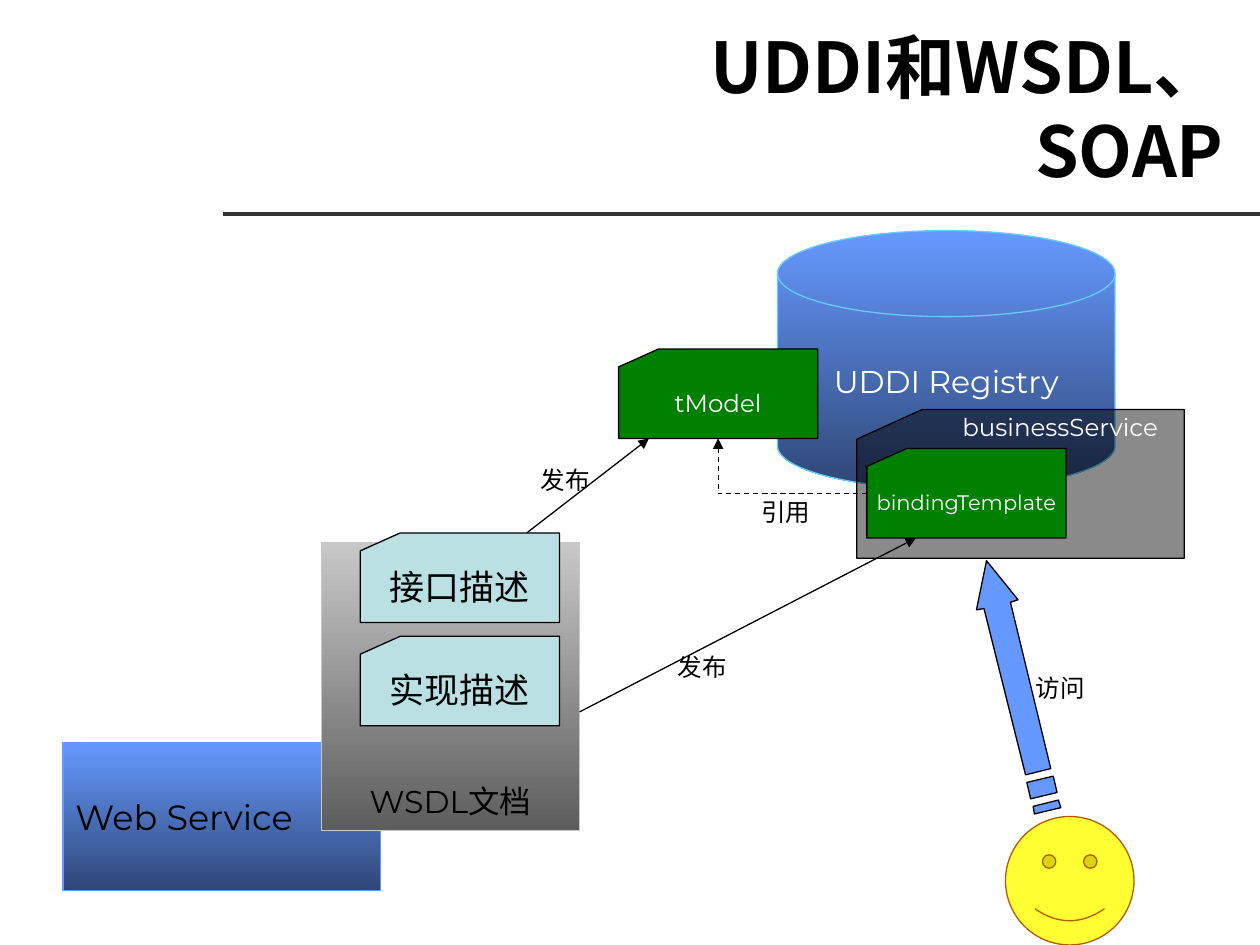
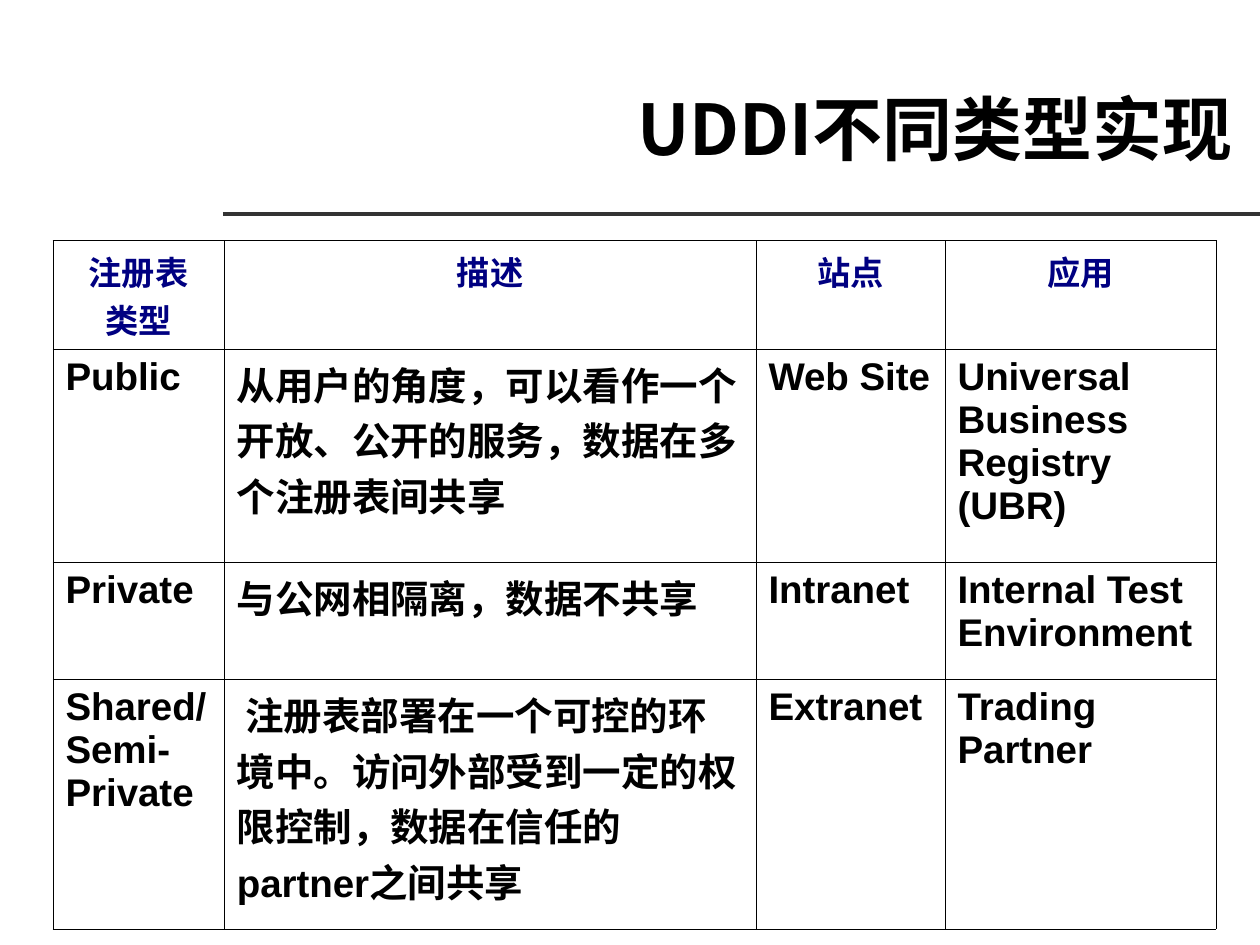
from lxml.etree import SubElement
from pptx import Presentation
from pptx.dml.color import RGBColor
from pptx.enum.dml import MSO_LINE
from pptx.enum.shapes import MSO_CONNECTOR as Connector, MSO_SHAPE as Shape
from pptx.enum.text import MSO_ANCHOR as Anchor, MSO_AUTO_SIZE, PP_ALIGN as Align
from pptx.oxml.ns import qn
from pptx.util import Inches, Pt

BLACK = RGBColor(0x00, 0x00, 0x00)
WHITE = RGBColor(0xFF, 0xFF, 0xFF)
RULE_GRAY = RGBColor(0x33, 0x33, 0x33)
BLUE = RGBColor(0x66, 0x99, 0xFF)
DEEP_BLUE = RGBColor(0x2F, 0x47, 0x76)
SKY = RGBColor(0x66, 0xCC, 0xFF)
SILVER = RGBColor(0xC8, 0xC8, 0xC8)
DARK_GRAY = RGBColor(0x5D, 0x5D, 0x5D)
PALE_TEAL = RGBColor(0xBB, 0xE0, 0xE3)
GREEN = RGBColor(0x00, 0x80, 0x00)
YELLOW = RGBColor(0xFF, 0xFF, 0x00)
BROWN = RGBColor(0xB4, 0x5A, 0x00)
NAVY = RGBColor(0x00, 0x00, 0x81)

CHINESE_FONT = "Noto Sans CJK SC"
DIAGRAM_FONT = "Montserrat"
TABLE_FONT = "Arial"

presentation = Presentation()
presentation.slide_width = Inches(10)
presentation.slide_height = Inches(7.5)
# Every position is counted on a grid of 100 columns and 75 rows.
COLUMN = presentation.slide_width / 100
ROW = presentation.slide_height / 75
title_only = presentation.slide_layouts[5]


def grid(*lengths):
    """Turn alternating column and row counts into slide lengths."""
    return [round(length * (ROW if index % 2 else COLUMN))
            for index, length in enumerate(lengths)]


def write_text(frame, text, size, font=DIAGRAM_FONT, color=BLACK, bold=False,
               align=Align.CENTER, anchor=Anchor.MIDDLE, wrap=False,
               side_margin=7.2, bottom_margin=3.6):
    """Write one paragraph per line of text; sizes and margins are in points."""
    frame.word_wrap = wrap
    frame.vertical_anchor = anchor
    frame.margin_left = frame.margin_right = Pt(side_margin)
    frame.margin_bottom = Pt(bottom_margin)
    for index, line in enumerate(text.split("\n")):
        paragraph = frame.add_paragraph() if index else frame.paragraphs[0]
        paragraph.alignment = align
        run = paragraph.add_run()
        run.text = line
        run.font.name = font
        run.font.size = Pt(size)
        run.font.bold = bold
        run.font.color.rgb = color
        SubElement(run.font._element, qn("a:ea"), typeface=CHINESE_FONT)


# Titles
slides = []
for text, box in [("UDDI和WSDL、SOAP", (43.7, 5, 54.4, 7)),
                  ("UDDI不同类型实现", (20.1, 6.8, 78.7, 6.7))]:
    slide = presentation.slides.add_slide(title_only)
    title = slide.shapes.title
    title.left, title.top, title.width, title.height = grid(*box)
    write_text(title.text_frame, text, 40, font=CHINESE_FONT, bold=True,
               align=Align.RIGHT, wrap=True)
    title.text_frame.auto_size = MSO_AUTO_SIZE.NONE
    slides.append(slide)
diagram_slide, table_slide = slides

# The rule under the title belongs to the layout
rule = diagram_slide.shapes.add_connector(Connector.STRAIGHT, *grid(17.7, 17, 100, 17))
rule.line.color.rgb = RULE_GRAY
rule.line.width = Pt(2.25)
SubElement(rule._element.spPr, qn("a:effectLst"))
title_only.shapes.element.append(rule._element)

# Diagram blocks: preset, box, fill colours, opacity in percent, line, text, text format
shapes = diagram_slide.shapes
CARD = Shape.FLOWCHART_CARD
CARD_SIZE = (15.8, 7.1)
blocks = [
    (Shape.RECTANGLE, (5, 58.9, 25.2, 11.8), (BLUE, DEEP_BLUE), 100, BLUE,
     "Web Service", dict(size=20, align=Align.LEFT)),
    (Shape.RECTANGLE, (25.5, 43.1, 20.5, 22.8), (SILVER, DARK_GRAY), 100, SILVER,
     "WSDL文档", dict(size=18, anchor=Anchor.BOTTOM, bottom_margin=6)),
    (CARD, (28.6, 42.3, *CARD_SIZE), (PALE_TEAL,), 100, BLACK, "接口描述", dict(size=20)),
    (CARD, (28.6, 50.5, *CARD_SIZE), (PALE_TEAL,), 100, BLACK, "实现描述", dict(size=20)),
    (Shape.FLOWCHART_MAGNETIC_DISK, (61.7, 18.3, 26.8, 20.5), (BLUE, DEEP_BLUE), 100, SKY,
     "UDDI Registry", dict(size=18, color=WHITE)),
    (CARD, (49.1, 27.7, *CARD_SIZE), (GREEN,), 100, BLACK,
     "tModel", dict(size=14, color=WHITE)),
    (Shape.SMILEY_FACE, (79.8, 64.8, 10.2, 10.2), (YELLOW,), 80, BROWN, "", {}),
    (CARD, (68, 32.5, 26, 11.8), (BLACK,), 46, BLACK, "", {}),
    (CARD, (68.8, 35.6, *CARD_SIZE), (GREEN,), 100, BLACK,
     "bindingTemplate", dict(size=12, color=WHITE)),
]
for preset, box, colors, opacity, line_color, text, text_format in blocks:
    block = shapes.add_shape(preset, *grid(*box))
    block.shadow.inherit = False
    block.line.color.rgb = line_color
    block.line.width = Pt(0.75)
    if len(colors) == 2:
        block.fill.gradient()
        block.fill.gradient_angle = 270
        for stop, color in zip(block.fill.gradient_stops, colors):
            stop.color.rgb = color
    else:
        block.fill.solid()
        block.fill.fore_color.rgb = colors[0]
    if opacity < 100:
        fill_color = block._element.spPr.find(qn("a:solidFill"))[0]
        SubElement(fill_color, qn("a:alpha"), val=str(opacity * 1000))
    if text:
        write_text(block.text_frame, text, **text_format)

# Striped access arrow
arrow_head = [(77.5, 48.4), (78.1, 48.3), (81.4, 61.5), (83.4, 61),
              (80.2, 47.8), (80.8, 47.6), (78.3, 44.5)]
stripes = [[(81.8, 63.4), (83.9, 62.9), (83.6, 61.6), (81.5, 62.1)],
           [(82.1, 64.6), (84.2, 64.1), (84, 63.5), (82, 64)]]
builder = shapes.build_freeform(*grid(*arrow_head[0]), scale=1.0)
builder.add_line_segments([grid(*point) for point in arrow_head[1:]])
for stripe in stripes:
    builder.move_to(*grid(*stripe[0]))
    builder.add_line_segments([grid(*point) for point in stripe[1:]])
access_arrow = builder.convert_to_shape()
access_arrow.shadow.inherit = False
access_arrow.fill.solid()
access_arrow.fill.fore_color.rgb = BLUE
access_arrow.line.color.rgb = BLACK
access_arrow.line.width = Pt(0.75)

# Arrows between the blocks
for kind, ends in [(Connector.ELBOW, (68.8, 39.2, 57, 34.8)),
                   (Connector.STRAIGHT, (41.8, 42.3, 51.5, 34.8)),
                   (Connector.STRAIGHT, (46, 56.5, 72.7, 42.7))]:
    arrow = shapes.add_connector(kind, *grid(*ends))
    arrow.line.color.rgb = BLACK
    arrow.line.width = Pt(0.75)
    properties = arrow._element.spPr
    if kind == Connector.ELBOW:
        arrow.line.dash_style = MSO_LINE.DASH
        properties.find(qn("a:prstGeom")).set("prst", "bentConnector2")
    SubElement(properties.find(qn("a:ln")), qn("a:tailEnd"), type="triangle")
    SubElement(properties, qn("a:effectLst"))

# Labels, without side margins so that each stays on one line
LABEL_SIZE = (5.5, 4.7)
for text, box, color in [("引用", (59.6, 38.3, *LABEL_SIZE), BLACK),
                         ("发布", (42.1, 35.7, *LABEL_SIZE), BLACK),
                         ("发布", (53, 50.6, *LABEL_SIZE), BLACK),
                         ("访问", (81.4, 52.2, *LABEL_SIZE), BLACK),
                         ("businessService", (75.5, 31.9, 17.3, 3.9), WHITE)]:
    label = shapes.add_textbox(*grid(*box))
    write_text(label.text_frame, text, 14, color=color, side_margin=0)

# Table of registry types
registry_types = [
    ("注册表\n类型", "描述", "站点", "应用"),
    ("Public", "从用户的角度，可以看作一个开放、公开的服务，数据在多个注册表间共享",
     "Web Site", "Universal Business\nRegistry (UBR)"),
    ("Private", "与公网相隔离，数据不共享", "Intranet", "Internal Test\nEnvironment"),
    ("Shared/\nSemi-Private",
     " 注册表部署在一个可控的环境中。访问外部受到一定的权限控制，数据在信任的partner之间共享",
     "Extranet", "Trading Partner"),
]
column_spans = (13.6, 42.2, 15, 21.5)
row_spans = (7.4, 16.9, 9.3, 19.8)
table = table_slide.shapes.add_table(
    len(row_spans), len(column_spans),
    *grid(4.2, 19.1, sum(column_spans), sum(row_spans))).table
table.first_row = table.horz_banding = False
for column, span in zip(table.columns, column_spans):
    column.width = round(span * COLUMN)
for row, span in zip(table.rows, row_spans):
    row.height = round(span * ROW)

header_format = dict(size=19, color=NAVY, align=Align.CENTER)
body_format = dict(size=22, color=BLACK, align=Align.LEFT)
for row_index, texts in enumerate(registry_types):
    for column_index, text in enumerate(texts):
        cell = table.cell(row_index, column_index)
        write_text(cell.text_frame, text, font=TABLE_FONT, bold=True, wrap=True,
                   anchor=Anchor.TOP, **(body_format if row_index else header_format))
        cell_properties = cell._tc.get_or_add_tcPr()
        for side in ("lnL", "lnR", "lnT", "lnB"):
            border = SubElement(cell_properties, qn(f"a:{side}"), w=str(Pt(0.45)))
            border_fill = SubElement(border, qn("a:solidFill"))
            SubElement(border_fill, qn("a:srgbClr"), val=str(BLACK))
        cell.fill.background()

presentation.save("out.pptx")
